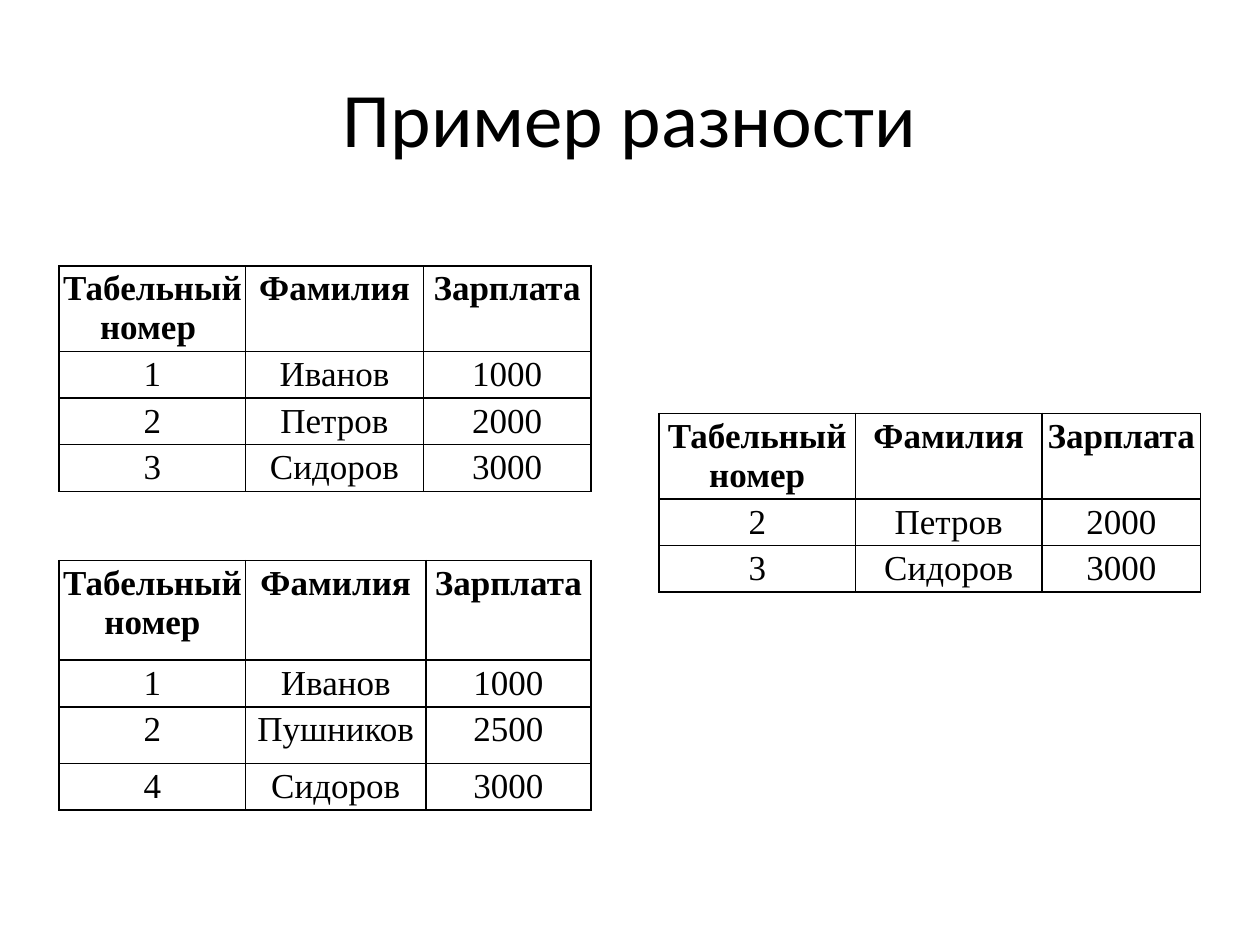
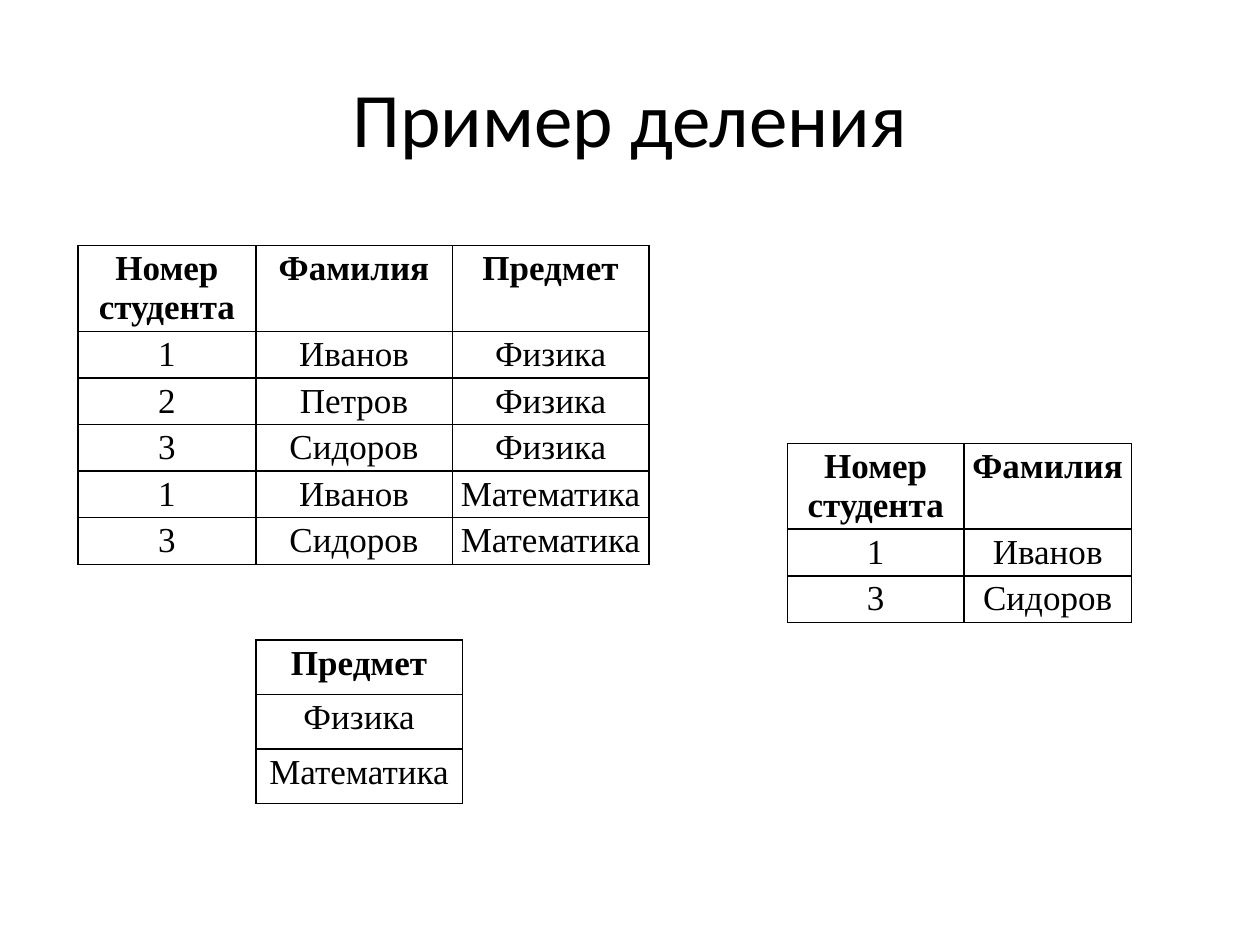
from lxml.etree import SubElement
from pptx import Presentation
from pptx.dml.color import RGBColor
from pptx.enum.text import MSO_VERTICAL_ANCHOR as Anchor, PP_PARAGRAPH_ALIGNMENT as Align
from pptx.oxml.ns import qn
from pptx.util import Inches, Pt

BLACK = RGBColor(0x00, 0x00, 0x00)
WHITE = RGBColor(0xFF, 0xFF, 0xFF)
GRID_COLUMNS, GRID_ROWS = 100, 75
HEADER_HEIGHT, BODY_HEIGHT = 6.8, 3.7
TITLE_ONLY = 5

STAFF_HEADER = ("Табельный номер", "Фамилия", "Зарплата")
STUDENT_HEADER = ("Номер студента", "Фамилия")


class RelationDeck:
    """Draws titled slides of bordered relation tables on a shared grid."""

    title_font = {"name": "Calibri", "size": Pt(44), "bold": False}
    table_font = {"name": "Times New Roman", "size": Pt(20)}
    cell_format = {
        "margin_left": Inches(0.03),
        "margin_right": Inches(0.03),
        "margin_top": Inches(0.03),
        "margin_bottom": Inches(0.03),
        "vertical_anchor": Anchor.TOP,
    }
    border_width = Pt(1)

    def __init__(self):
        self.presentation = Presentation()
        self.presentation.slide_width = Inches(10)
        self.presentation.slide_height = Inches(7.5)
        self.slide = None

    def across(self, columns):
        return round(self.presentation.slide_width * columns / GRID_COLUMNS)

    def down(self, rows):
        return round(self.presentation.slide_height * rows / GRID_ROWS)

    def apply(self, target, values):
        for name, value in values.items():
            setattr(target, name, value)

    def set_text(self, text_frame, text, font):
        text_frame.text = text
        paragraph = text_frame.paragraphs[0]
        paragraph.alignment = Align.CENTER
        self.apply(paragraph.runs[0].font, font)
        paragraph.runs[0].font.color.rgb = BLACK

    def add_slide(self, title):
        layout = self.presentation.slide_layouts[TITLE_ONLY]
        self.slide = self.presentation.slides.add_slide(layout)
        background = self.slide.background.fill
        background.solid()
        background.fore_color.rgb = WHITE
        shape = self.slide.shapes.title
        self.apply(shape, {
            "left": self.across(5), "top": self.down(3),
            "width": self.across(90), "height": self.down(12.5),
        })
        shape.text_frame.vertical_anchor = Anchor.MIDDLE
        self.set_text(shape.text_frame, title, self.title_font)

    def add_borders(self, cell):
        properties = cell._tc.get_or_add_tcPr()
        for side in ("lnL", "lnR", "lnT", "lnB"):
            line = SubElement(properties, qn(f"a:{side}"), w=str(self.border_width))
            fill = SubElement(line, qn("a:solidFill"))
            SubElement(fill, qn("a:srgbClr"), val=str(BLACK))

    def add_relation(self, left, top, widths, records, heights=None):
        heights = heights or [HEADER_HEIGHT] + [BODY_HEIGHT] * (len(records) - 1)
        table = self.slide.shapes.add_table(
            len(records), len(widths), self.across(left), self.down(top),
            self.across(sum(widths)), self.down(sum(heights))).table
        self.apply(table, {"first_row": False, "horz_banding": False})
        for column, width in zip(table.columns, widths):
            column.width = self.across(width)
        for row_index, (row, height, record) in enumerate(zip(table.rows, heights, records)):
            row.height = self.down(height)
            font = {**self.table_font, "bold": row_index == 0}
            for cell, text in zip(row.cells, record):
                self.apply(cell, self.cell_format)
                self.add_borders(cell)
                cell.fill.background()
                self.set_text(cell.text_frame, text, font)


def add_difference_slide(deck):
    deck.add_slide("Пример разности")
    deck.add_relation(4.7, 21.1, (14.8, 14.1, 13.3), [
        ("Табельный номер ", *STAFF_HEADER[1:]),
        ("1", "Иванов", "1000"),
        ("2", "Петров", "2000"),
        ("3", "Сидоров", "3000"),
    ])
    deck.add_relation(4.7, 44.5, (14.8, 14.3, 13.1), [
        STAFF_HEADER,
        ("1", "Иванов", "1000"),
        ("2", "Пушников", "2500"),
        ("4", "Сидоров", "3000"),
    ], heights=(7.9, BODY_HEIGHT, 4.5, BODY_HEIGHT))
    deck.add_relation(52.3, 32.8, (15.6, 14.8, 12.6), [
        STAFF_HEADER,
        ("2", "Петров", "2000"),
        ("3", "Сидоров", "3000"),
    ])


def add_division_slide(deck):
    deck.add_slide("Пример деления")
    deck.add_relation(62.5, 35.2, (14, 13.3), [
        STUDENT_HEADER,
        ("1", "Иванов"),
        ("3", "Сидоров"),
    ])
    subjects = [("Предмет",), ("Физика",), ("Математика",)]
    deck.add_relation(20.3, 50.8, (16.4,), subjects, heights=[4.33] * len(subjects))
    deck.add_relation(6.2, 19.5, (14.1, 15.6, 15.6), [
        (*STUDENT_HEADER, "Предмет"),
        ("1", "Иванов", "Физика"),
        ("2", "Петров", "Физика"),
        ("3", "Сидоров", "Физика"),
        ("1", "Иванов", "Математика"),
        ("3", "Сидоров", "Математика"),
    ])


def main():
    deck = RelationDeck()
    add_difference_slide(deck)
    add_division_slide(deck)
    deck.presentation.save("out.pptx")


if __name__ == "__main__":
    main()
